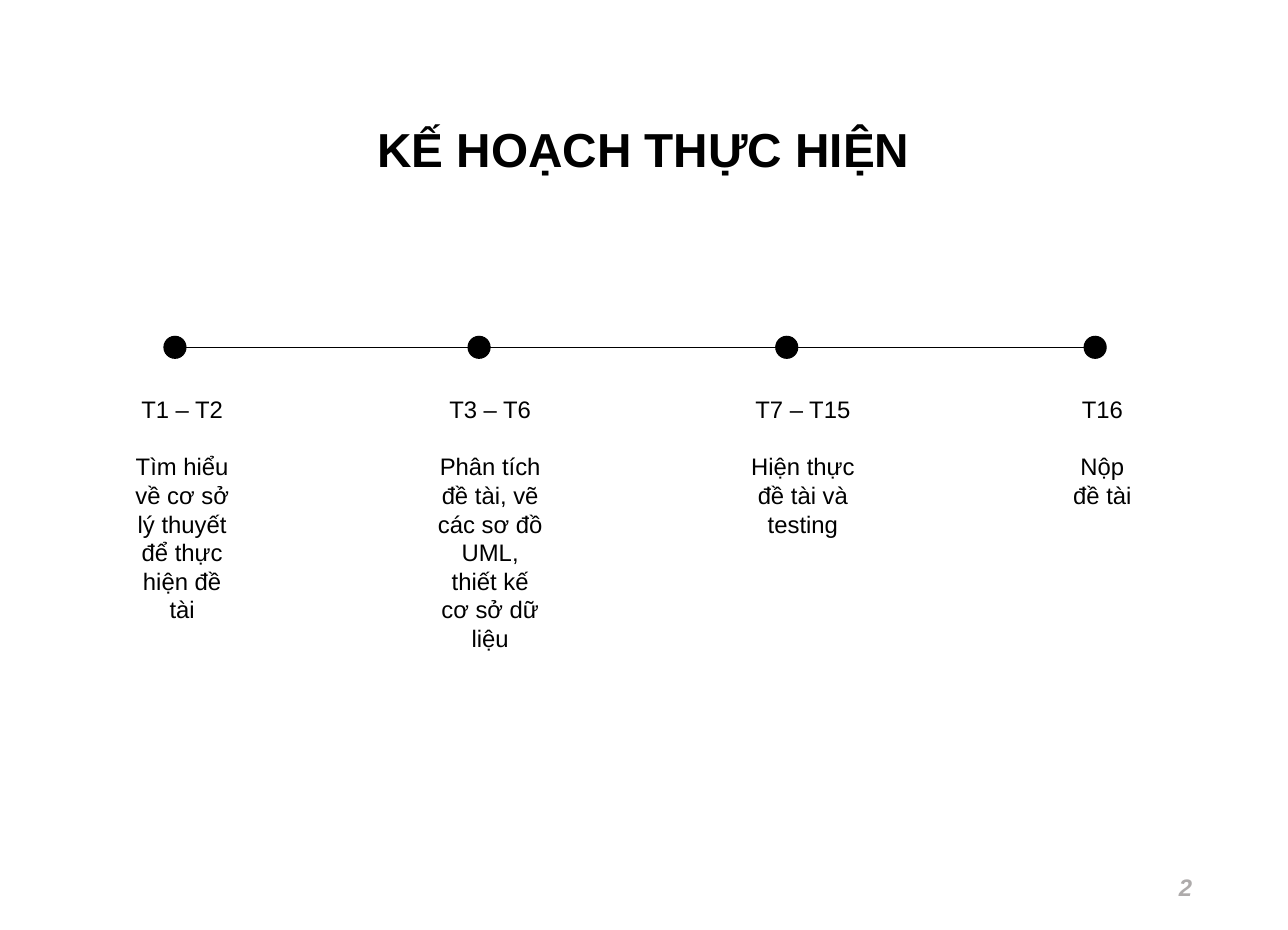
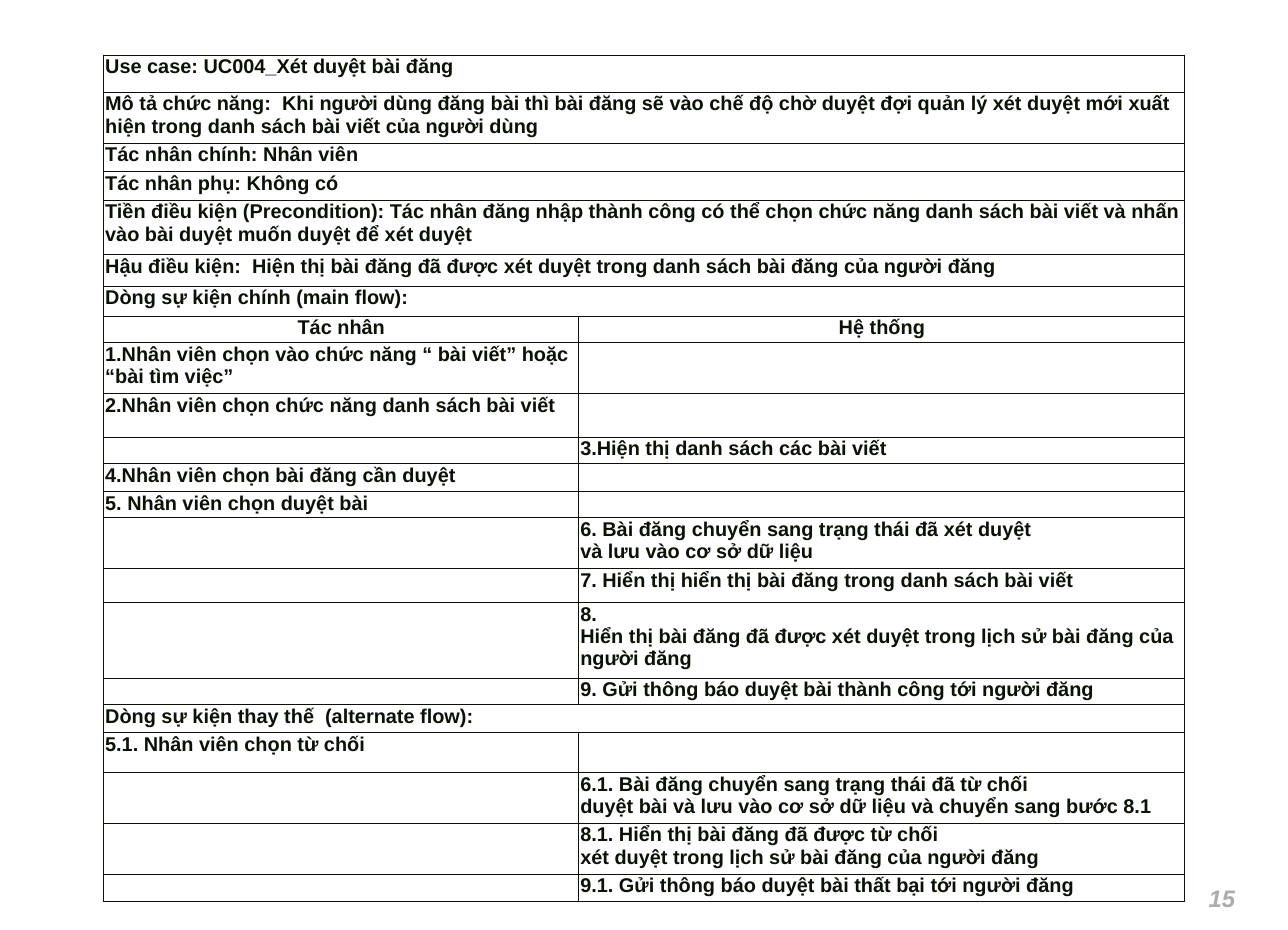
from lxml import etree
from pptx import Presentation
from pptx.dml.color import RGBColor
from pptx.enum import shapes, text
from pptx.oxml import ns
from pptx.util import Inches, Pt

FONT = "Arial"
BLACK = RGBColor(0x00, 0x00, 0x00)
GRAY = RGBColor(0xAE, 0xAB, 0xAB)
INK = RGBColor(0x0B, 0x11, 0x07)
LEFT, CENTER, RIGHT = (
    text.PP_ALIGN.LEFT, text.PP_ALIGN.CENTER, text.PP_ALIGN.RIGHT)
HARD_SPACE = chr(160)

DOT_SIZE, DOT_TOP = 0.31, 4.7
LINE_Y = 4.86
STEP_TOP = 5.47

# dot left, text left, text width, text height, weeks, task
STEPS = [
    (2.29, 1.7, 1.69, 3.33, "T1 – T2",
     "Tìm hiểu về cơ sở lý thuyết để thực hiện đề tài"),
    (6.54, 6.02, 1.66, 3.74, "T3 – T6",
     "Phân tích đề tài, vẽ các sơ đồ UML, thiết kế cơ sở dữ liệu"),
    (10.84, 10.39, 1.66, 2.12, "T7 – T15", "Hiện thực đề tài và testing"),
    (15.15, 14.85, 1.11, 1.72, "T16", "Nộp đề tài"),
]

COLUMNS = [6.64, 8.47]
# Row height, then one text (merged row) or two (actor, system).
# In a text with bars, lines may break only at the bars.
ROWS = [
    (0.52, "Use case: UC004_Xét duyệt bài đăng"),
    (0.71, "Mô tả chức năng:  Khi người dùng đăng bài thì bài đăng sẽ vào "
           "chế độ chờ duyệt đợi quản lý xét duyệt mới xuất hiện trong "
           "danh sách bài viết của người dùng"),
    (0.4, "Tác nhân chính: Nhân viên"),
    (0.4, "Tác nhân phụ: Không có"),
    (0.76, "Tiền điều kiện (Precondition): Tác nhân đăng nhập thành công có "
           "thể chọn chức năng danh sách bài viết và nhấn vào bài duyệt "
           "muốn duyệt để xét duyệt"),
    (0.44, "Hậu điều kiện:  Hiện thị bài đăng đã được xét duyệt trong danh "
           "sách bài đăng của người đăng"),
    (0.42, "Dòng sự kiện chính (main flow):"),
    (0.37, "Tác nhân", "Hệ thống"),
    (0.71, "1.Nhân viên chọn vào chức năng “ bài viết” hoặc "
           "“bài tìm việc”", ""),
    (0.61, "2.Nhân viên chọn chức năng danh sách bài viết", ""),
    (0.37, "", "3.Hiện thị danh sách các bài viết"),
    (0.39, "4.Nhân viên chọn bài đăng cần duyệt", ""),
    (0.37, "5. Nhân viên chọn duyệt bài", ""),
    (0.71, "", "6. Bài đăng chuyển sang trạng thái đã xét|duyệt|"
               "và lưu vào cơ sở dữ liệu"),
    (0.48, "", "7. Hiển thị hiển thị bài đăng trong danh sách bài viết"),
    (1.05, "", "8.|Hiển thị bài đăng đã được xét duyệt trong lịch sử bài "
               "đăng của người đăng"),
    (0.37, "", "9. Gửi thông báo duyệt bài thành công tới người đăng"),
    (0.39, "Dòng sự kiện thay thế  (alternate flow):"),
    (0.56, "5.1. Nhân viên chọn từ chối", ""),
    (0.71, "", "6.1. Bài đăng chuyển sang trạng thái đã từ|chối|"
               "duyệt bài và lưu vào cơ sở dữ liệu|và|chuyển|sang|bước|8.1"),
    (0.71, "", "8.1. Hiển thị bài đăng đã được từ|chối|"
               "xét duyệt trong lịch sử bài đăng của người đăng"),
    (0.39, "", "9.1. Gửi thông báo duyệt bài thất bại tới người đăng"),
]
HEADER_ROW = 7


def style(par, size, color, align, bold=False, italic=False):
    par.alignment = align
    for run in par.runs:
        font = run.font
        font.name, font.size = FONT, Pt(size)
        font.bold, font.italic = bold, italic
        font.color.rgb = color


def add_text(slide, box, lines, size, color, align, **marks):
    shape = slide.shapes.add_textbox(*map(Inches, box))
    frame = shape.text_frame
    frame.word_wrap = True
    frame.text = "\n".join(lines)
    for par in frame.paragraphs:
        style(par, size, color, align, **marks)
    return frame


def add_number(slide, left, top, number):
    frame = add_text(slide, (left, top, 4.05, 0.69), [number], 24, GRAY,
                     RIGHT, bold=True, italic=True)
    frame.vertical_anchor = text.MSO_ANCHOR.MIDDLE


def add_line(slide, start, end, y):
    line = slide.shapes.add_connector(
        shapes.MSO_CONNECTOR.STRAIGHT,
        Inches(start), Inches(y), Inches(end), Inches(y))
    line.line.color.rgb = BLACK
    line.line.width = Pt(0.75)
    etree.SubElement(line._element.spPr, ns.qn("a:effectLst"))


def add_dot(slide, left):
    dot = slide.shapes.add_shape(
        shapes.MSO_SHAPE.FLOWCHART_CONNECTOR, Inches(left), Inches(DOT_TOP),
        Inches(DOT_SIZE), Inches(DOT_SIZE))
    dot.shadow.inherit = False
    dot.fill.solid()
    dot.fill.fore_color.rgb = BLACK
    dot.line.color.rgb = BLACK
    dot.line.width = Pt(1)


def add_step(slide, dot_left, left, width, height, weeks, task):
    add_dot(slide, dot_left)
    frame = add_text(slide, (left, STEP_TOP, width, height), [weeks, task],
                     24, BLACK, CENTER)
    frame.paragraphs[0].space_after = Pt(28.8)


def glue(words):
    """Keep words together between bars, and allow a break at each bar."""
    if "|" not in words:
        return words
    return words.replace(" ", HARD_SPACE).replace("|", " ")


def add_borders(cell):
    props = cell._tc.get_or_add_tcPr()
    for index, side in enumerate(("lnL", "lnR", "lnT", "lnB")):
        edge = etree.Element(ns.qn(f"a:{side}"), w=str(Pt(1)))
        fill = etree.SubElement(edge, ns.qn("a:solidFill"))
        etree.SubElement(fill, ns.qn("a:srgbClr"), val=str(INK))
        props.insert(index, edge)


def fill_cell(cell, words, align):
    cell.margin_left = cell.margin_right = Inches(0.02)
    cell.margin_top = cell.margin_bottom = Inches(0.01)
    cell.fill.background()
    add_borders(cell)
    cell.text_frame.text = glue(words)
    style(cell.text_frame.paragraphs[0], 20, INK, align, bold=True)


def add_cases(slide):
    height = sum(row[0] for row in ROWS)
    table = slide.shapes.add_table(
        len(ROWS), len(COLUMNS), Inches(1.45), Inches(0.77),
        Inches(sum(COLUMNS)), Inches(height)).table
    table.first_row = table.horz_banding = False
    for column, width in zip(table.columns, COLUMNS):
        column.width = Inches(width)
    for index, (height, *texts) in enumerate(ROWS):
        table.rows[index].height = Inches(height)
        first, last = table.cell(index, 0), table.cell(index, 1)
        if len(texts) == 1:
            first.merge(last)
            texts.append("")
        align = CENTER if index == HEADER_ROW else LEFT
        for cell, words in zip((first, last), texts):
            fill_cell(cell, words, align)


def add_plan_slide(deck, layout):
    slide = deck.slides.add_slide(layout)
    title = add_text(slide, (5, 0.99, 7.99, 1.16), ["KẾ HOẠCH THỰC HIỆN"],
                     48, BLACK, CENTER, bold=True)
    title.paragraphs[0].line_spacing = 1.8
    add_number(slide, 12.71, 12.05, "2")
    add_line(slide, 2.54, 15.4, LINE_Y)
    for step in STEPS:
        add_step(slide, *step)


def add_case_slide(deck, layout):
    slide = deck.slides.add_slide(layout)
    add_number(slide, 13.31, 12.2, "15")
    add_cases(slide)


def main():
    deck = Presentation()
    deck.slide_width, deck.slide_height = Inches(18), Inches(13)
    blank = deck.slide_layouts[6]
    add_plan_slide(deck, blank)
    add_case_slide(deck, blank)
    deck.save("out.pptx")


if __name__ == "__main__":
    main()
